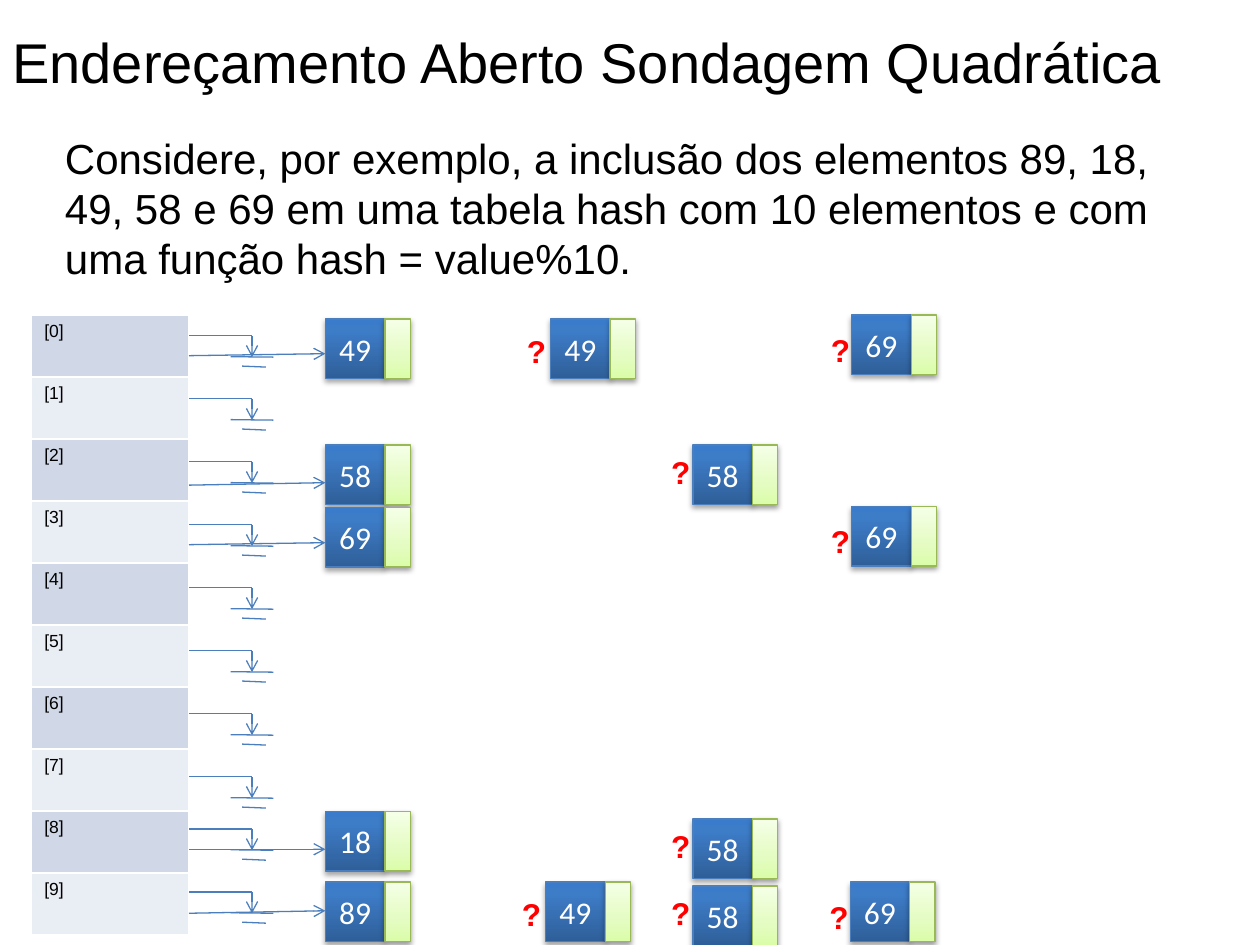
from dataclasses import dataclass
from pptx import Presentation
from pptx import util as u
from pptx.dml import color
from pptx.enum import shapes, text
from pptx.oxml import ns, xmlchemy

TITLE = "Endereçamento Aberto Sondagem Quadrática"
BODY = ("Considere, por exemplo, a inclusão dos elementos 89, 18, 49, 58 e 69 em uma "
        "tabela hash com 10 elementos e com uma função hash = value%10. ")
SLOTS = [f"[{index}]" for index in range(10)]

STORED_LEFT = 6.56
STORED = [
    {"value": 89, "top": 17.78, "arrow": (18.41, 18.36)},
    {"value": 18, "top": 16.36, "arrow": (17.12, 17.12)},
    {"value": 58, "top": 8.97, "arrow": (9.78, 9.73)},
    {"value": 69, "top": 10.23, "arrow": (10.98, 10.94)},
    {"value": 49, "top": 6.43, "arrow": (7.17, 7.13)},
]
PROBES = [
    (58, 13.97, 16.51), (49, 11.0, 17.78), (69, 17.14, 17.78), (49, 11.1, 6.43),
    (58, 13.97, 17.86), (58, 13.97, 8.97), (69, 17.17, 6.35), (69, 17.17, 10.21),
]
MARK_OFFSET = {58: (-0.69, 0.03), 49: (-0.73, 0.13), 69: (-0.67, 0.19)}


@dataclass(frozen=True)
class Theme:
    font: str = "Arial"
    node_font: str = "Calibri"
    title_size: int = 32
    body_size: int = 24
    slot_size: int = 10
    node_size: int = 18
    ink: str = "000000"
    paper: str = "FFFFFF"
    alert: str = "FF0000"
    bands: tuple = ("D0D8E8", "E9EDF4")
    blue_line: str = "4B7EBC"
    green_line: str = "98B955"
    blue_stops: tuple = ((0, "2F5F99"), (80, "3D7CC7"), (100, "3A7CCB"))
    green_stops: tuple = ((0, "DAFDA7"), (35, "E4FCC2"), (100, "F5FFE7"))
    line_width: float = 0.75


theme = Theme()
TABLE_LEFT, TABLE_TOP, TABLE_WIDTH, ROW_HEIGHT = 0.64, 6.35, 3.17, 1.25
TABLE_RIGHT = TABLE_LEFT + TABLE_WIDTH
NULL_TOP, NULL_STEP, NULL_SHIFT = 6.77, 1.27, 0.22
KEY_SIZE, LINK_WIDTH = 1.2, 0.51


def rgb(value):
    return color.RGBColor.from_string(value)


def add_xml(parent, tag, **attributes):
    child = xmlchemy.OxmlElement(tag)
    for name, value in attributes.items():
        child.set(name, str(value))
    parent.append(child)
    return child


def write(para, content, size, font=theme.font, ink=theme.ink, bold=None):
    span = para.add_run()
    span.text = content
    span.font.name, span.font.size, span.font.bold = font, u.Pt(size), bold
    span.font.color.rgb = rgb(ink)


def add_text(parent, bounds, content, size, wrap=False, **style):
    box = parent.add_textbox(*map(u.Cm, bounds))
    box.text_frame.word_wrap = wrap
    box.text_frame.auto_size = text.MSO_AUTO_SIZE.SHAPE_TO_FIT_TEXT
    write(box.text_frame.paragraphs[0], content, size, **style)


def add_line(parent, start, end, arrow=False):
    line = parent.add_connector(shapes.MSO_CONNECTOR.STRAIGHT, *map(u.Cm, (*start, *end)))
    line.line.color.rgb = rgb(theme.blue_line)
    line.line.width = u.Pt(theme.line_width)
    if arrow:
        add_xml(line.line._get_or_add_ln(), "a:tailEnd", type="arrow")
    add_xml(line._element.spPr, "a:effectLst")


def add_cell(parent, bounds, stops, outline, alpha, distance):
    box = parent.add_shape(shapes.MSO_SHAPE.RECTANGLE, *map(u.Cm, bounds))
    box.fill.gradient()
    box.fill.gradient_angle = 90
    properties = box._element.spPr
    stop_list = properties.find(ns.qn("a:gradFill")).find(ns.qn("a:gsLst"))
    for stop in list(stop_list):
        stop_list.remove(stop)
    for position, value in stops:
        add_xml(add_xml(stop_list, "a:gs", pos=position * 1000), "a:srgbClr", val=value)
    box.line.color.rgb = rgb(outline)
    box.line.width = u.Pt(theme.line_width)
    box.shadow.inherit = False
    shadow = add_xml(properties.find(ns.qn("a:effectLst")), "a:outerShdw",
                     blurRad=u.Pt(3.1), dist=u.Pt(distance), dir=5400000, rotWithShape=0)
    add_xml(add_xml(shadow, "a:srgbClr", val=theme.ink), "a:alpha", val=alpha * 1000)
    return box


def add_node(value, left, top, marked=False):
    group = page.shapes.add_group_shape().shapes
    key = add_cell(group, (left, top, KEY_SIZE, KEY_SIZE),
                   theme.blue_stops, theme.blue_line, 35, 1.8)
    frame = key.text_frame
    frame.margin_left = frame.margin_right = 0
    frame.vertical_anchor = text.MSO_ANCHOR.MIDDLE
    frame.paragraphs[0].alignment = text.PP_ALIGN.CENTER
    write(frame.paragraphs[0], str(value), theme.node_size, theme.node_font, theme.paper)
    add_cell(group, (left + KEY_SIZE, top, LINK_WIDTH, KEY_SIZE),
             theme.green_stops, theme.green_line, 38, 1.6)
    if marked:
        across, down = MARK_OFFSET[value]
        add_text(group, (left + across, top + down, 0.91, 1.02), "?",
                 theme.node_size, ink=theme.alert, bold=True)


def add_null(top):
    group = page.shapes.add_group_shape().shapes
    add_line(group, (TABLE_RIGHT, top), (5.08, top))
    add_line(group, (5.08, top), (5.08, top + 0.43), arrow=True)
    add_line(group, (4.65, top + 0.42), (5.51, top + 0.43))
    add_line(group, (4.88, top + 0.61), (5.36, top + 0.63))


def add_slots():
    bounds = (TABLE_LEFT, TABLE_TOP, TABLE_WIDTH, ROW_HEIGHT * len(SLOTS))
    table = page.shapes.add_table(len(SLOTS), 1, *map(u.Cm, bounds)).table
    table.first_row = table.horz_banding = False
    for index, label in enumerate(SLOTS):
        table.rows[index].height = u.Cm(ROW_HEIGHT)
        cell = table.cell(index, 0)
        write(cell.text_frame.paragraphs[0], label, theme.slot_size)
        for side in ("a:lnL", "a:lnR", "a:lnT", "a:lnB"):
            border = add_xml(cell._tc.get_or_add_tcPr(), side, w=u.Pt(1))
            add_xml(add_xml(border, "a:solidFill"), "a:srgbClr", val=theme.paper)
        cell.fill.solid()
        cell.fill.fore_color.rgb = rgb(theme.bands[index % 2])


deck = Presentation()
deck.slide_width, deck.slide_height = u.Cm(25.4), u.Cm(19.05)
page = deck.slides.add_slide(deck.slide_layouts[6])

add_text(page.shapes, (0, 0.43, 23.85, 1.63), TITLE, theme.title_size)
add_text(page.shapes, (1.06, 2.54, 22.86, 3.33), BODY, theme.body_size, wrap=True)
add_slots()
for index in range(len(SLOTS)):
    add_null(NULL_TOP + index * NULL_STEP - (NULL_SHIFT if index >= 8 else 0))
for entry in STORED:
    add_node(entry["value"], STORED_LEFT, entry["top"])
    start, end = entry["arrow"]
    add_line(page.shapes, (TABLE_RIGHT, start), (STORED_LEFT, end), arrow=True)
for value, left, top in PROBES:
    add_node(value, left, top, marked=True)

deck.save("out.pptx")
